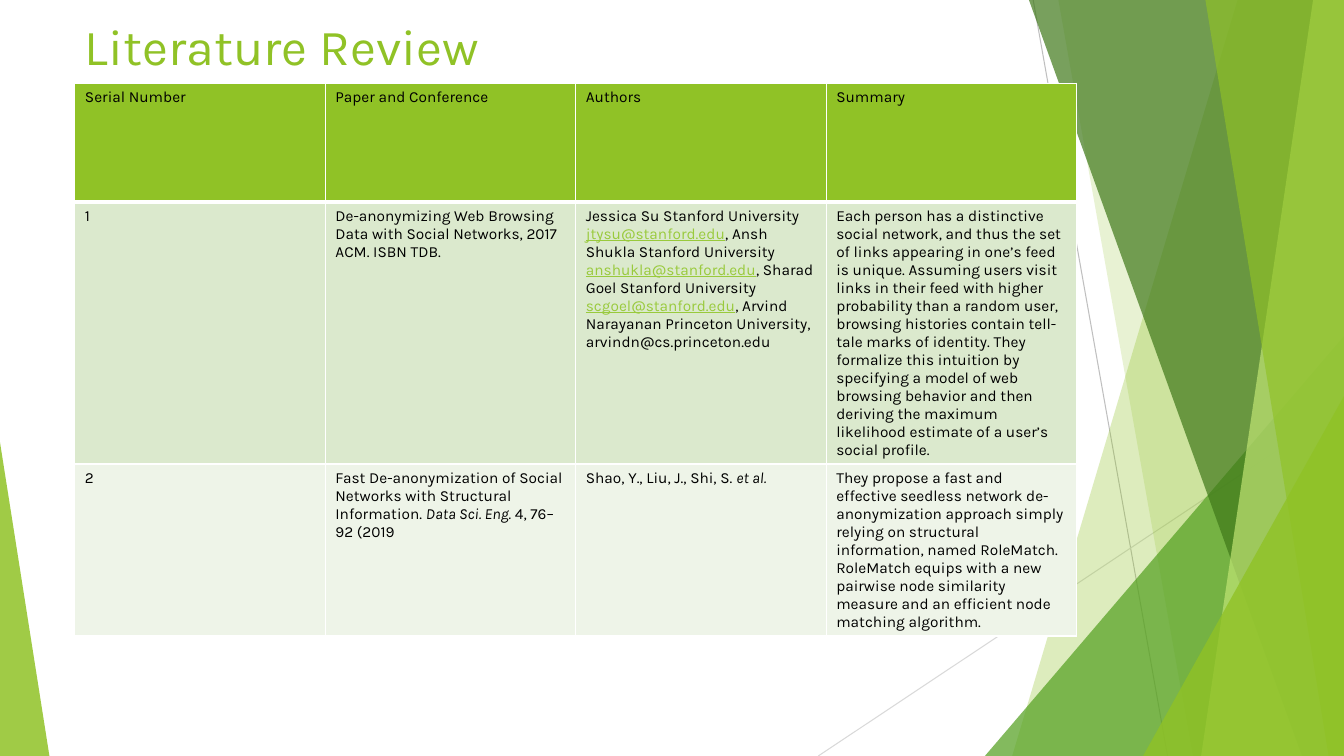
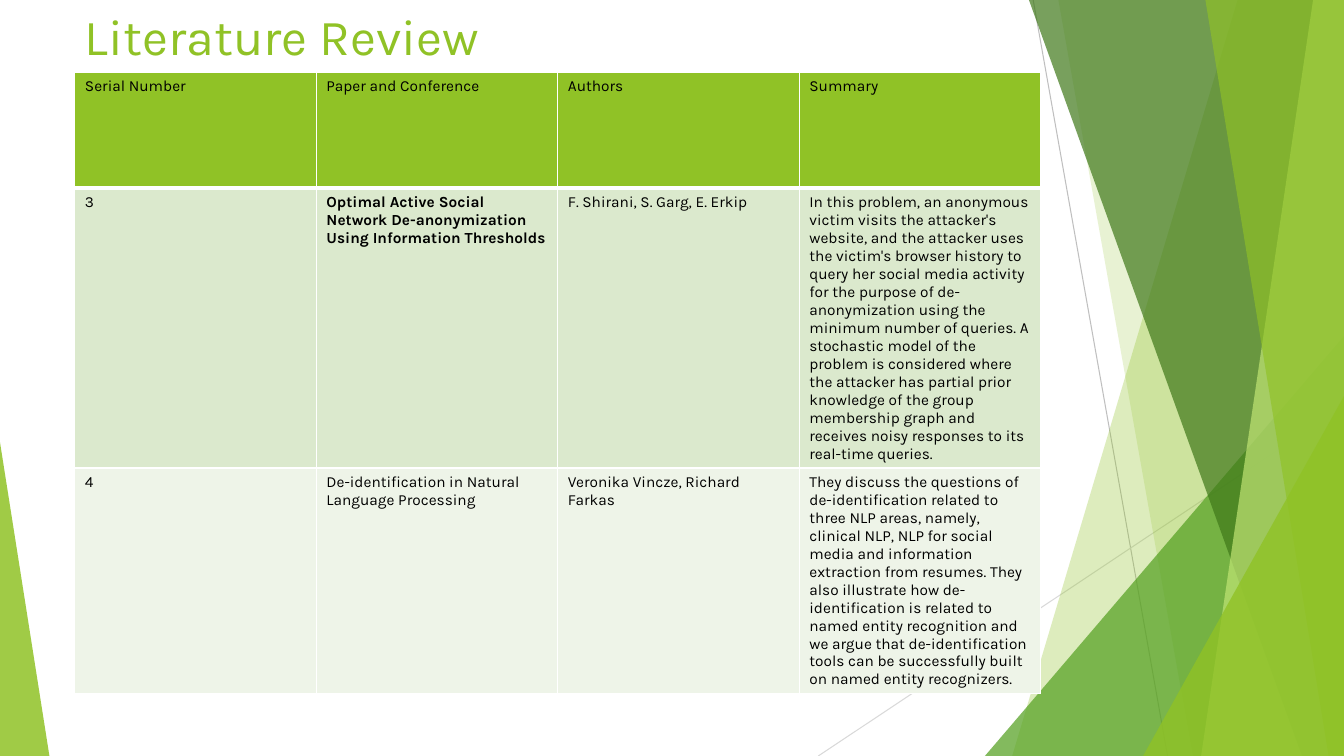
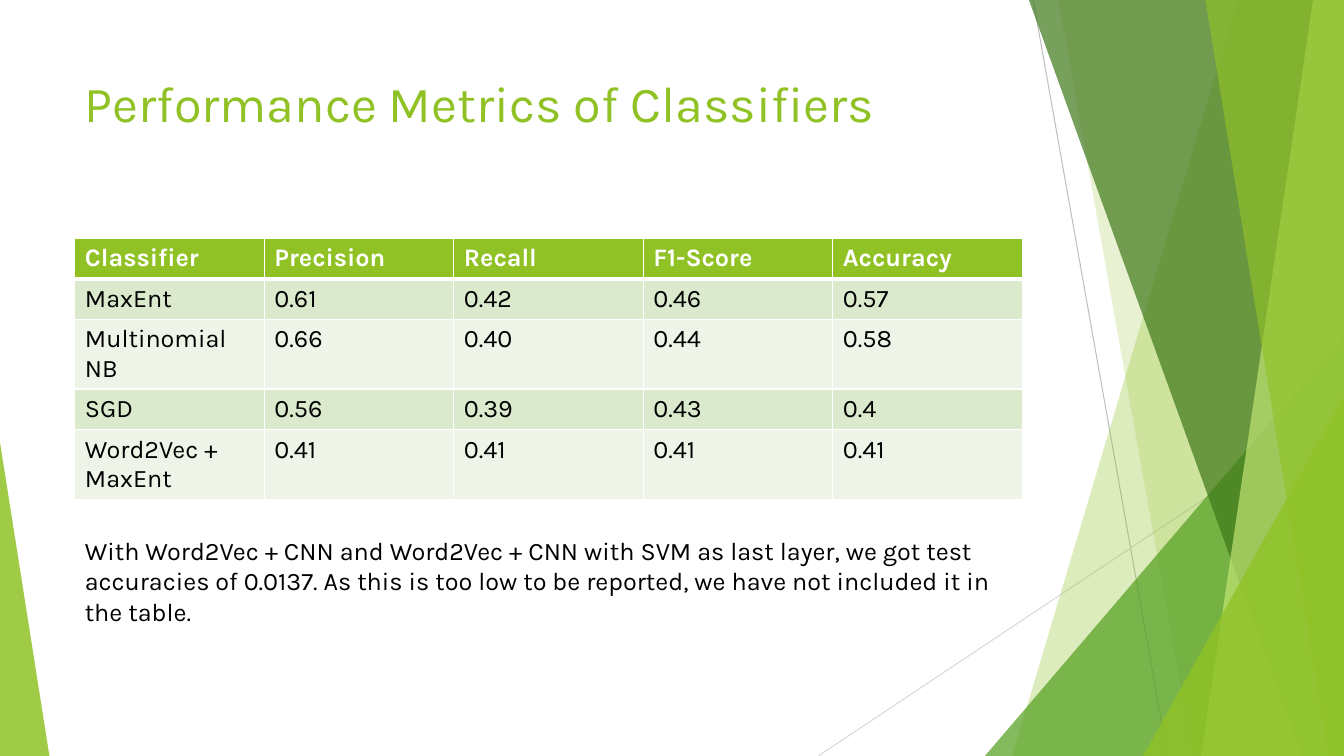
from lxml import etree
from pptx import Presentation
from pptx.dml.color import RGBColor
from pptx.enum.shapes import MSO_CONNECTOR, MSO_SHAPE
from pptx.enum.text import MSO_ANCHOR, MSO_AUTO_SIZE, PP_ALIGN
from pptx.oxml.ns import qn
from pptx.util import Pt

STRAIGHT = MSO_CONNECTOR.STRAIGHT
TRIANGLE = MSO_SHAPE.ISOSCELES_TRIANGLE
TOP = MSO_ANCHOR.TOP
NO_FIT, GROW = MSO_AUTO_SIZE.NONE, MSO_AUTO_SIZE.SHAPE_TO_FIT_TEXT
LEFT = PP_ALIGN.LEFT

LIME = RGBColor(0x90, 0xC2, 0x26)
GREEN = RGBColor(0x54, 0xA0, 0x21)
FOREST = RGBColor(0x3F, 0x78, 0x19)
PALE = RGBColor(0xC0, 0xE4, 0x74)
LINK = RGBColor(0x99, 0xCA, 0x3C)
BAND_DARK = RGBColor(0xDB, 0xE9, 0xCD)
BAND_LIGHT = RGBColor(0xEE, 0xF4, 0xE8)
GREY = RGBColor(0xBF, 0xBF, 0xBF)
SILVER = RGBColor(0xD9, 0xD9, 0xD9)
BLACK = RGBColor(0, 0, 0)
WHITE = RGBColor(0xFF, 0xFF, 0xFF)

FONT = "Karla"
WIDTH, HEIGHT = 960, 540
MARGIN = 53.5
CONTENT_W = 676.8
TITLE_H = 103.8

ITALIC = {"italic": True}
BOLD = {"bold": True}
EMAIL = {"color": LINK, "underline": True}

REVIEW_HEAD = ["Serial Number", "Paper and Conference", "Authors", "Summary"]
REVIEW_1 = [
    REVIEW_HEAD,
    ["1",
     "De-anonymizing Web Browsing Data with Social Networks, 2017 ACM. ISBN TDB.",
     [("Jessica Su Stanford University ", {}),
      ("jtysu@stanford.edu", EMAIL),
      (", Ansh Shukla Stanford University ", {}),
      ("anshukla@stanford.edu", EMAIL),
      (", Sharad Goel Stanford University ", {}),
      ("scgoel@stanford.edu", EMAIL),
      (", Arvind Narayanan Princeton University, arvindn@cs.princeton.edu", {})],
     "Each person has a distinctive social network, and thus the set of links "
     "appearing in one\u2019s feed is unique. Assuming users visit links in their "
     "feed with higher probability than a random user, browsing histories contain "
     "tell-tale marks of identity. They formalize this intuition by specifying a "
     "model of web browsing behavior and then deriving the maximum likelihood "
     "estimate of a user\u2019s social profile. "],
    ["2",
     [("Fast De-anonymization of Social Networks with Structural Information.\u00a0", {}),
      ("Data Sci. Eng.", ITALIC),
      ("\u00a04,\u00a076\u201392 (2019", {})],
     [("Shao, Y., Liu, J., Shi, S.\u00a0", {}), ("et al.\u00a0", ITALIC)],
     "They propose a fast and effective seedless network de-anonymization approach "
     "simply relying on structural information, named RoleMatch. RoleMatch equips "
     "with a new pairwise node similarity measure and an efficient node matching "
     "algorithm."],
]
REVIEW_2 = [
    REVIEW_HEAD,
    ["3",
     [("Optimal Active Social Network De-anonymization Using Information Thresholds",
       BOLD)],
     "F. Shirani, S. Garg, E. Erkip",
     "In this problem, an anonymous victim visits the attacker's website, and the "
     "attacker uses the victim's browser history to query her social media activity "
     "for the purpose of de-anonymization using the minimum number of queries. A "
     "stochastic model of the problem is considered where the attacker has partial "
     "prior knowledge of the group membership graph and receives noisy responses to "
     "its real-time queries."],
    ["4",
     "De-identification in Natural Language Processing",
     "Veronika Vincze, Richard Farkas",
     "They discuss the questions of de-identification related to three NLP areas, "
     "namely, clinical NLP, NLP for social media and information extraction from "
     "resumes. They also illustrate how de-identification is related to named entity "
     "recognition and we argue that de-identification tools can be successfully "
     "built on named entity recognizers."],
]
METRICS = [
    ["Classifier", "Precision", "Recall", "F1-Score", "Accuracy"],
    ["MaxEnt", "0.61", "0.42", "0.46", "0.57"],
    ["Multinomial NB", "0.66", "0.40", "0.44", "0.58"],
    ["SGD", "0.56", "0.39", "0.43", "0.4"],
    ["Word2Vec + MaxEnt", "0.41", "0.41", "0.41", "0.41"],
]
METRICS_NOTE = (
    "With Word2Vec + CNN and Word2Vec + CNN with SVM as last layer, we got test "
    "accuracies of 0.0137. As this is too low to be reported, we have not included "
    "it in the table.")


def add_run(p, text, size, color=BLACK, bold=False, italic=False, underline=False):
    """Append one formatted run to a paragraph."""
    r = p.add_run()
    r.text = text
    font = r.font
    font.name, font.size, font.color.rgb = FONT, Pt(size), color
    font.bold, font.italic, font.underline = bold, italic, underline


def paint(sp, color, opacity):
    """Give a shape a translucent fill without line or shadow."""
    sp.shadow.inherit = False
    sp.line.fill.background()
    sp.fill.solid()
    sp.fill.fore_color.rgb = color
    clr = sp.element.spPr.find(qn("a:solidFill"))[0]
    etree.SubElement(clr, qn("a:alpha"), val=str(opacity * 1000))


def add_ray(shapes, x1, y1, x2, y2, color):
    """Draw a thin straight line."""
    line = shapes.add_connector(STRAIGHT, Pt(x1), Pt(y1), Pt(x2), Pt(y2))
    line.line.color.rgb = color
    line.line.width = Pt(0.75)
    etree.SubElement(line.element.spPr, qn("a:effectLst"))


def add_blade(shapes, top_x, bottom_x, color, opacity):
    """Fill the area from a slanted edge to the right side of the slide."""
    builder = shapes.build_freeform(top_x, 0, scale=Pt(1))
    builder.add_line_segments([(WIDTH, 0), (WIDTH, HEIGHT), (bottom_x, HEIGHT)])
    paint(builder.convert_to_shape(), color, opacity)


def add_corner(shapes, x, y, w, apex, color, opacity):
    """Draw a right triangle that stands on the bottom edge."""
    sp = shapes.add_shape(TRIANGLE, Pt(x), Pt(y), Pt(w), Pt(HEIGHT - y))
    sp.adjustments[0] = apex
    paint(sp, color, opacity)


def decorate_layout(layout, slide):
    """Build the facet artwork and hand it over to the layout."""
    for ph in list(layout.placeholders):
        if ph.placeholder_format.idx != 0:
            ph.element.getparent().remove(ph.element)
    group = slide.shapes.add_group_shape()
    shapes = group.shapes
    add_ray(shapes, 738, 0, 834, HEIGHT, GREY)
    add_ray(shapes, WIDTH, 290, 584.5, HEIGHT, SILVER)
    add_blade(shapes, 884, 723, LIME, 30)
    add_blade(shapes, 756, 852, LIME, 20)
    add_corner(shapes, 703.5, 240, 256.5, 1, GREEN, 72)
    add_blade(shapes, 735, 929.5, FOREST, 70)
    add_blade(shapes, 938, 858, PALE, 70)
    add_blade(shapes, 861, 949, LIME, 65)
    add_corner(shapes, 816.5, 283, 143.5, 1, LIME, 80)
    add_corner(shapes, 0, 316, 35.3, 0, LIME, 85)
    layout.shapes.element.insert(2, group.element)


def add_title(slide, text, y):
    """Place and format the slide title."""
    sp = slide.shapes.title
    sp.left, sp.top, sp.width, sp.height = Pt(MARGIN), Pt(y), Pt(CONTENT_W), Pt(TITLE_H)
    tf = sp.text_frame
    tf.word_wrap, tf.auto_size, tf.vertical_anchor = True, NO_FIT, TOP
    p = tf.paragraphs[0]
    p.alignment = LEFT
    add_run(p, text, 36, LIME)


def set_borders(cell, top, bottom):
    """Draw white borders of the given top and bottom widths."""
    tc_pr = cell._tc.get_or_add_tcPr()
    for side, width in (("L", 1), ("R", 1), ("T", top), ("B", bottom)):
        ln = etree.SubElement(tc_pr, qn("a:ln" + side), w=str(Pt(width)))
        fill = etree.SubElement(ln, qn("a:solidFill"))
        etree.SubElement(fill, qn("a:srgbClr"), val=str(WHITE))


def add_banded_table(slide, box, rows, heights, size, head_style):
    """Add a table with a lime header and alternating bands."""
    x, y, w, h = box
    frame = slide.shapes.add_table(len(rows), len(rows[0]), Pt(x), Pt(y), Pt(w), Pt(h))
    table = frame.table
    table.first_row = table.horz_banding = False
    for i, values in enumerate(rows):
        table.rows[i].height = Pt(heights[i])
        band = LIME if i == 0 else BAND_DARK if i % 2 else BAND_LIGHT
        for j, value in enumerate(values):
            cell = table.cell(i, j)
            set_borders(cell, 3 if i == 1 else 1, 3 if i == 0 else 1)
            cell.fill.solid()
            cell.fill.fore_color.rgb = band
            p = cell.text_frame.paragraphs[0]
            runs = [(value, head_style if i == 0 else {})] if isinstance(value, str) else value
            for text, style in runs:
                add_run(p, text, size, **style)
    frame.height = Pt(h)


def add_note(slide, box, text):
    """Add a paragraph of body text."""
    sp = slide.shapes.add_textbox(*(Pt(v) for v in box))
    tf = sp.text_frame
    tf.word_wrap, tf.auto_size = True, GROW
    add_run(tf.paragraphs[0], text, 18)


def review_slide(slide, y, table_w, table_h, rows, heights):
    """Fill a literature review slide."""
    add_title(slide, "Literature Review", y)
    add_banded_table(slide, (MARGIN, y + 52, table_w, table_h), rows, heights, 11, {})


def metrics_slide(slide):
    """Fill the slide with the classifier scores."""
    add_title(slide, "Performance Metrics of Classifiers", 48)
    add_banded_table(slide, (MARGIN, 170, CONTENT_W, 188.6), METRICS,
                     [29.2] * len(METRICS), 18, {"color": WHITE, "bold": True})
    add_note(slide, (MARGIN, 379, CONTENT_W, 72.7), METRICS_NOTE)


def main():
    """Build and save the presentation."""
    prs = Presentation()
    prs.slide_width, prs.slide_height = Pt(WIDTH), Pt(HEIGHT)
    layout = prs.slide_layouts[5]
    first, second, third = (prs.slides.add_slide(layout) for _ in range(3))
    decorate_layout(layout, first)
    review_slide(first, 7.5, 715.6, 403, REVIEW_1, [85, 85, 85])
    review_slide(second, 0, 690, 453.6, REVIEW_2, [82.5, 146, 146])
    metrics_slide(third)
    prs.save("out.pptx")


main()
